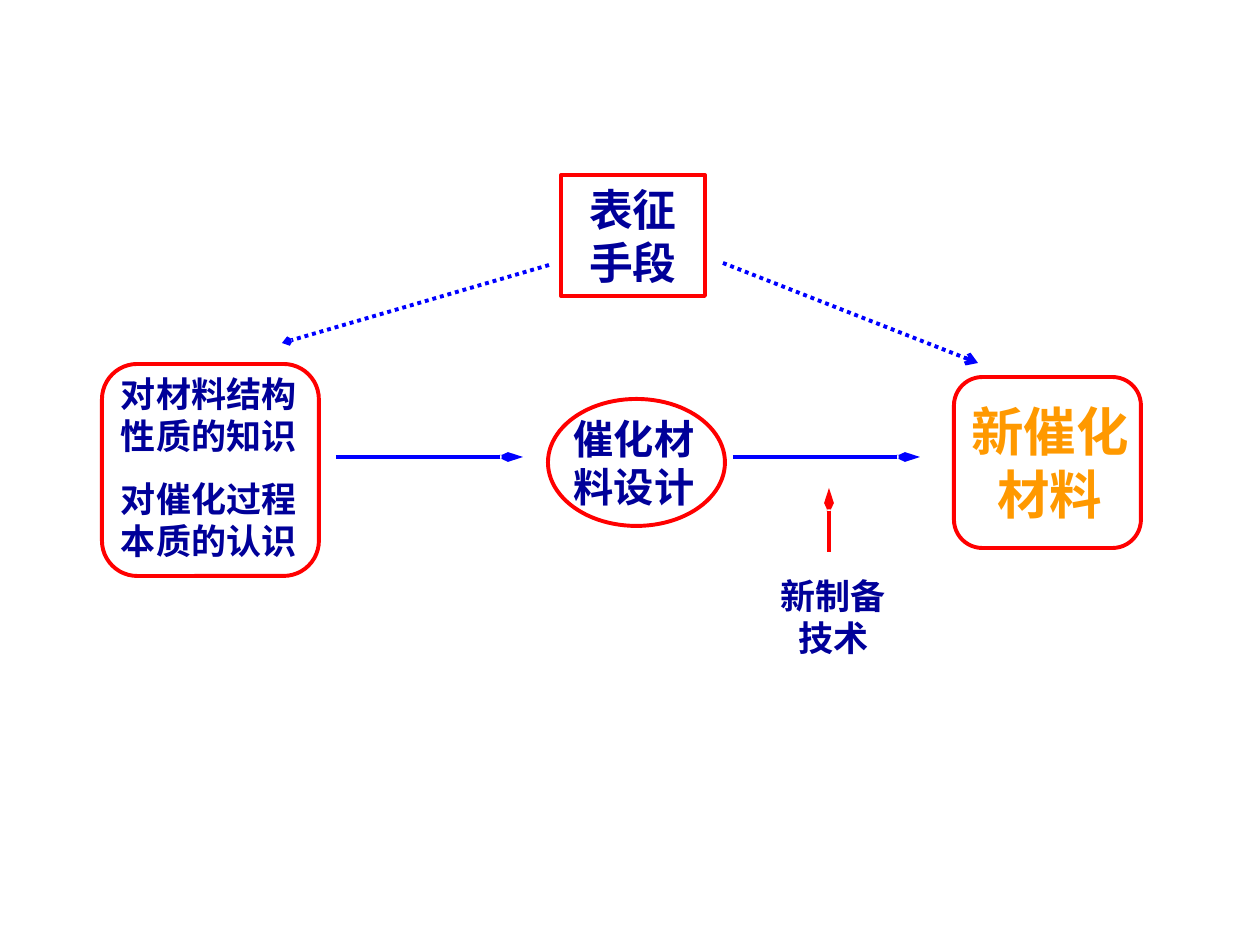
from lxml.etree import SubElement
from pptx import Presentation
from pptx.dml.color import RGBColor
from pptx.enum.dml import MSO_LINE
from pptx.enum.shapes import MSO_CONNECTOR, MSO_SHAPE
from pptx.enum.text import MSO_ANCHOR, MSO_AUTO_SIZE, PP_ALIGN
from pptx.oxml.ns import qn
from pptx.util import Emu, Pt

RED, BLUE, NAVY, ORANGE = "FF0000", "0000FF", "000099", "FF9900"


def px(n):
    """Turn pixels at 126 to the inch into EMU."""
    return Emu(round(n * 914400 / 126))


def rgb(value):
    """Turn a hex string into a colour."""
    return RGBColor.from_string(value)


def outline(s, kind, box):
    """Add an unfilled shape with a red border."""
    sp = s.shapes.add_shape(kind, *map(px, box))
    sp.shadow.inherit = False
    sp.fill.background()
    sp.line.color.rgb = rgb(RED)
    sp.line.width = Pt(2.25)
    return sp


def write(sp, text, size, color=NAVY, align=PP_ALIGN.CENTER, anchor=MSO_ANCHOR.TOP):
    """Put bold wrapped text into a shape."""
    tf = sp.text_frame
    tf.word_wrap = True
    tf.auto_size = MSO_AUTO_SIZE.SHAPE_TO_FIT_TEXT
    tf.vertical_anchor = anchor
    tf.margin_left = tf.margin_right = px(15)
    tf.margin_top = tf.margin_bottom = px(8)
    tf.text = text
    for p in tf.paragraphs:
        p.alignment = align
        p.space_before = Pt(size * 0.625)
        for r in p.runs:
            r.font.name = "Arial"
            r.font.size = Pt(size)
            r.font.bold = True
            r.font.color.rgb = rgb(color)


def label(s, box, text, size, **style):
    """Add a text box."""
    write(s.shapes.add_textbox(*map(px, box)), text, size, **style)


def arrow(s, points, color=BLUE, width="sm", length="lg", dotted=False):
    """Add a straight arrow pointing at its second end."""
    c = s.shapes.add_connector(MSO_CONNECTOR.STRAIGHT, *map(px, points))
    c.line.color.rgb = rgb(color)
    c.line.width = Pt(2.25)
    if dotted:
        c.line.dash_style = MSO_LINE.ROUND_DOT
    ln = c.line._get_or_add_ln()
    SubElement(ln, qn("a:tailEnd"), type="arrow", w=width, len=length)
    SubElement(c._element.spPr, qn("a:effectLst"))


def new_material(s, x, y, w, h):
    """Draw the resulting material on the right."""
    outline(s, MSO_SHAPE.FLOWCHART_ALTERNATE_PROCESS, (x, y, w, h))
    label(s, (x - 10, y + 15, w + 25, h - 30), "新催化材料", 30,
          color=ORANGE, anchor=MSO_ANCHOR.MIDDLE)


def knowledge(s, x, y, w, h):
    """Draw the two kinds of knowledge on the left."""
    label(s, (x + 4, y, w + 16, h - 7), "对材料结构性质的知识\n对催化过程本质的认识", 20,
          align=PP_ALIGN.LEFT)
    outline(s, MSO_SHAPE.FLOWCHART_ALTERNATE_PROCESS, (x, y, w, h))


def technique(s, x, y, w, h):
    """Draw the preparation technique and its upward arrow."""
    label(s, (x, y, w, h), "新制备技术", 20)
    arrow(s, (x + 78, y - 15, x + 78, y - 79), color=RED)


def design(s, x, y, w, h):
    """Draw the design step in the middle."""
    label(s, (x + 6, y + 7, w - 17, h - 15), "催化材料设计", 23)
    outline(s, MSO_SHAPE.OVAL, (x, y, w, h))


def characterization(s, x, y, w, h):
    """Draw the characterization methods at the top."""
    write(outline(s, MSO_SHAPE.RECTANGLE, (x, y, w, h)), "表征手段", 25)


def main():
    """Build and save the slide."""
    prs = Presentation()
    prs.slide_width, prs.slide_height = px(1260), px(945)
    s = prs.slides.add_slide(prs.slide_layouts[6])
    new_material(s, 954, 377, 187, 171)
    knowledge(s, 102, 364, 217, 212)
    technique(s, 751, 567, 165, 100)
    design(s, 548, 399, 177, 127)
    characterization(s, 561, 175, 144, 121)
    for x in (336, 733):
        arrow(s, (x, 457, x + 187, 457))
    arrow(s, (723, 263, 978, 363), width="med", length="med", dotted=True)
    arrow(s, (549, 265, 282, 343), width="sm", length="sm", dotted=True)
    prs.save("out.pptx")


if __name__ == "__main__":
    main()
